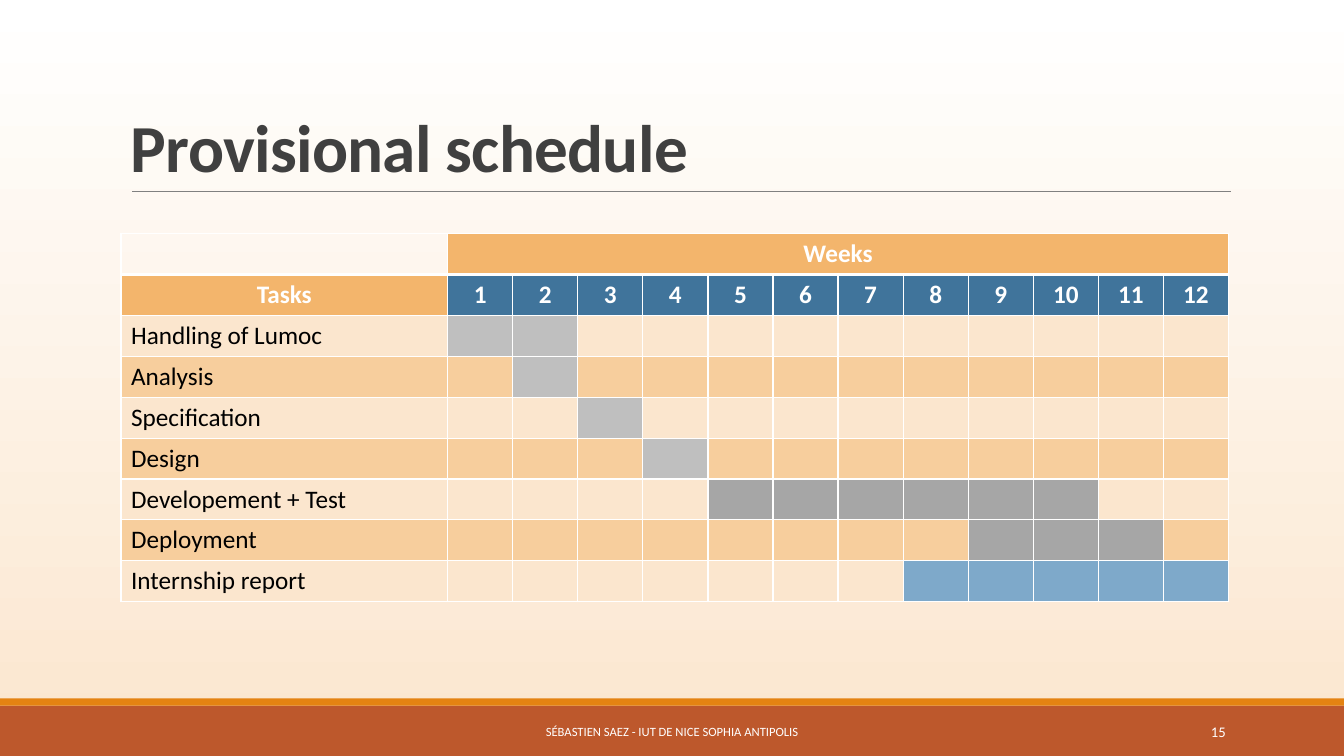
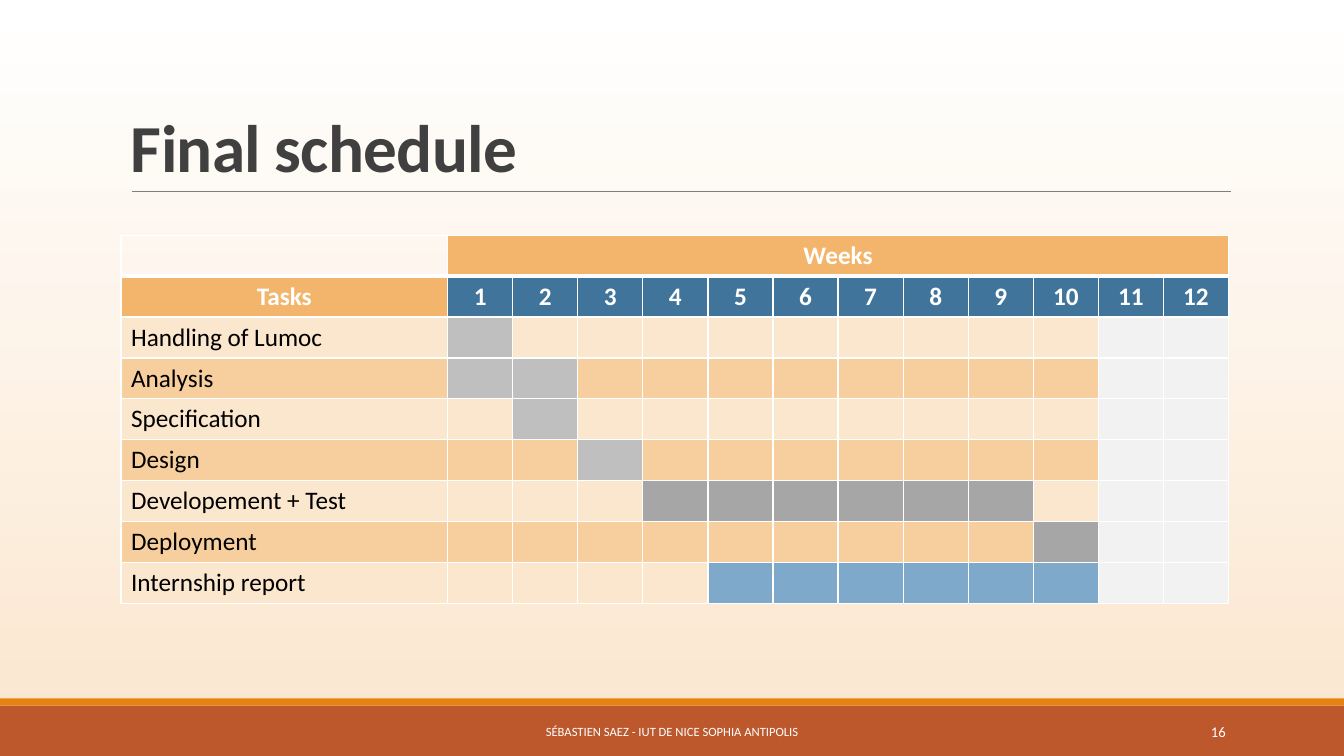
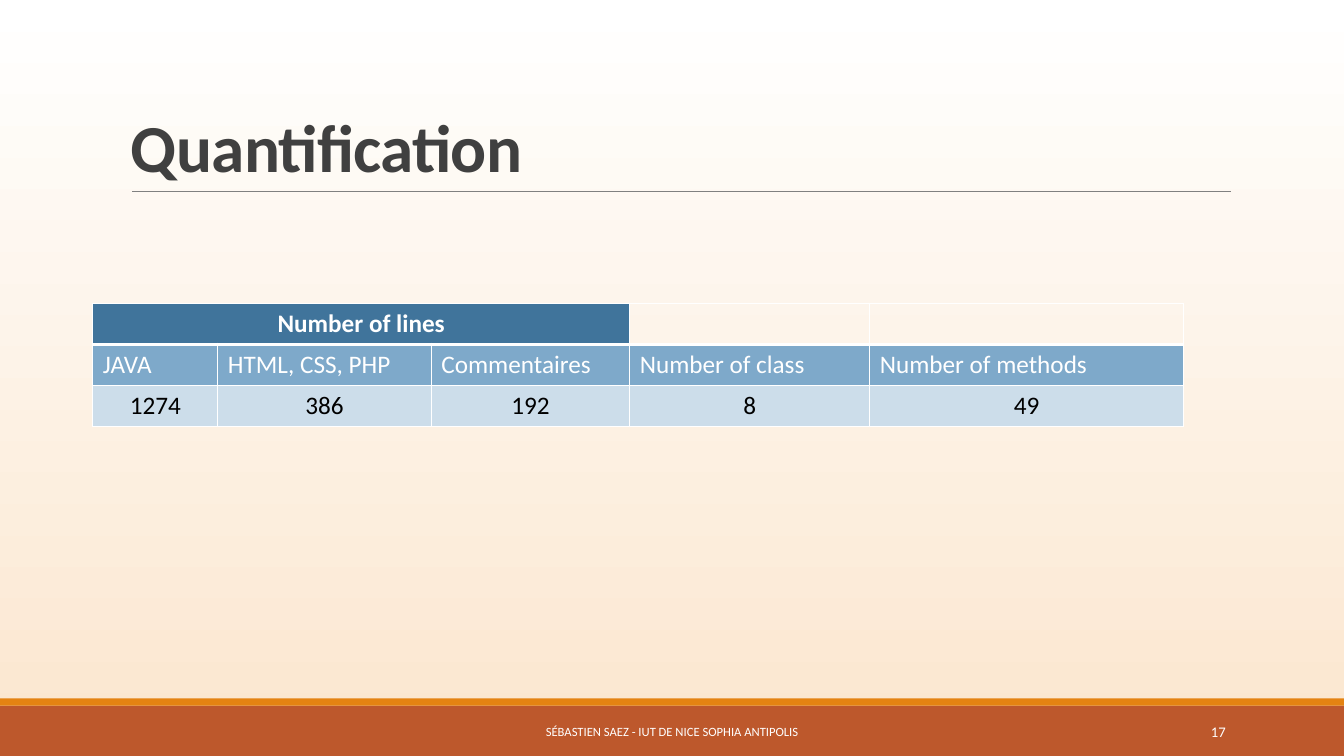
import dataclasses

import lxml.etree
import pptx
import pptx.dml.color
import pptx.enum.shapes
import pptx.enum.text
import pptx.oxml.ns
import pptx.util

Cm = pptx.util.Cm
Pt = pptx.util.Pt
qn = pptx.oxml.ns.qn
ALIGN = pptx.enum.text.PP_ALIGN
ANCHOR = pptx.enum.text.MSO_ANCHOR

WHITE, BLACK, DARK = "FFFFFF", "000000", "404040"
ORANGE, PEACH, CREAM = "F3B56C", "F7CE9D", "FBE6CE"
NAVY, BLUE, PALE_BLUE = "40749B", "7EA9CA", "CCDDEA"
SILVER, GREY, UNUSED = "BFBFBF", "A6A6A6", "F2F2F2"
WEEKS = 12
ROW_HEIGHT = 1.03


def rgb(value):
    return pptx.dml.color.RGBColor.from_string(value)


@dataclasses.dataclass
class Entry:
    text: str = ""
    fill: str = ""
    color: str = WHITE
    bold: bool = False
    align: ALIGN = ALIGN.CENTER


class Deck:
    """Holds the shared style and the current slide."""

    font = "Calibri"
    footer = "SÉBASTIEN SAEZ - IUT DE NICE SOPHIA ANTIPOLIS"

    def __init__(self, first_number):
        self.presentation = pptx.Presentation()
        self.presentation.slide_width = Cm(33.87)
        self.presentation.slide_height = Cm(19.05)
        self.number = first_number

    def new_slide(self, title):
        self.slide = self.presentation.slides.add_slide(self.presentation.slide_layouts[6])
        backdrop = self.slide.background.fill
        backdrop.gradient()
        backdrop.gradient_angle = 270
        for stop, color in zip(backdrop.gradient_stops, (WHITE, CREAM)):
            stop.color.rgb = rgb(color)
        self.band(17.78, 1.27, "BD582C")
        self.band(17.6, 0.18, "E48312")
        self.rule(3.33, 31.02, 4.83)
        heading = self.text(title, 3.05, 0.79, 27.94, 4.03, 48, DARK, ALIGN.LEFT, ANCHOR.BOTTOM)
        heading.font.bold = True
        heading.line_spacing = 0.85
        heading.runs[0]._r.get_or_add_rPr().set("spc", "-50")
        self.text(self.footer, 10.24, 17.93, 13.39, 1.02, 9, WHITE, ALIGN.CENTER)
        self.text(str(self.number), 27.5, 17.93, 3.64, 1.02, 10.5, WHITE, ALIGN.RIGHT)
        self.number += 1

    def band(self, top, height, color):
        strip = self.slide.shapes.add_shape(
            pptx.enum.shapes.MSO_SHAPE.RECTANGLE,
            0, Cm(top), self.presentation.slide_width, Cm(height))
        strip.shadow.inherit = False
        strip.fill.solid()
        strip.fill.fore_color.rgb = rgb(color)
        strip.line.fill.background()

    def rule(self, left, right, top):
        underline = self.slide.shapes.add_connector(
            pptx.enum.shapes.MSO_CONNECTOR.STRAIGHT, Cm(left), Cm(top), Cm(right), Cm(top))
        underline.line.color.rgb = rgb("808080")
        underline.line.width = Pt(0.5)
        lxml.etree.SubElement(underline._element.spPr, qn("a:effectLst"))

    def text(self, words, left, top, width, height, size, color, align, anchor=ANCHOR.MIDDLE):
        frame = self.slide.shapes.add_textbox(Cm(left), Cm(top), Cm(width), Cm(height)).text_frame
        frame.word_wrap = True
        frame.vertical_anchor = anchor
        return self.styled(frame, words, size, color, align)

    def styled(self, frame, words, size, color, align):
        paragraph = frame.paragraphs[0]
        paragraph.text = words
        paragraph.alignment = align
        paragraph.font.name = self.font
        paragraph.font.size = Pt(size)
        paragraph.font.color.rgb = rgb(color)
        return paragraph

    def grid(self, left, top, widths, rows, merged):
        table = self.slide.shapes.add_table(
            len(rows), len(widths), Cm(left), Cm(top),
            Cm(sum(widths)), Cm(ROW_HEIGHT * len(rows))).table
        table.first_row = table.horz_banding = False
        for column, width in zip(table.columns, widths):
            column.width = Cm(width)
        for r, entries in enumerate(rows):
            table.rows[r].height = Cm(ROW_HEIGHT)
            for c, entry in enumerate(entries):
                self.fill_cell(table.cell(r, c), entry, r)
        first, last = merged
        table.cell(0, first).merge(table.cell(0, last))

    def fill_cell(self, cell, entry, row):
        self.border(cell, {"L": 1, "R": 1, "T": 3 if row == 1 else 1, "B": 3 if row == 0 else 1})
        if entry.fill:
            cell.fill.solid()
            cell.fill.fore_color.rgb = rgb(entry.fill)
        else:
            cell.fill.background()
        if entry.text:
            label = self.styled(cell.text_frame, entry.text, 18, entry.color, entry.align)
            label.font.bold = entry.bold

    def border(self, cell, sides):
        properties = cell._tc.get_or_add_tcPr()
        for side, points in sides.items():
            edge = lxml.etree.SubElement(properties, qn(f"a:ln{side}"), w=str(Pt(points)))
            paint = lxml.etree.SubElement(edge, qn("a:solidFill"))
            lxml.etree.SubElement(paint, qn("a:srgbClr"), val=WHITE)

    def schedule(self, title, top, spans, last_week=WEEKS):
        self.new_slide(title)
        tasks = (
            ("Handling of Lumoc", SILVER),
            ("Analysis", SILVER),
            ("Specification", SILVER),
            ("Design", SILVER),
            ("Developement + Test", GREY),
            ("Deployment", GREY),
            ("Internship report", BLUE),
        )
        weeks = range(1, WEEKS + 1)
        rows = [
            [Entry(), Entry("Weeks", ORANGE, bold=True)] + [Entry()] * (WEEKS - 1),
            [Entry("Tasks", ORANGE, bold=True)]
            + [Entry(str(week), NAVY, bold=True) for week in weeks],
        ]
        for i, ((task, color), (start, end)) in enumerate(zip(tasks, spans)):
            stripe = PEACH if i % 2 else CREAM
            row = [Entry(task, stripe, BLACK, align=ALIGN.LEFT)]
            for week in weeks:
                idle = stripe if week <= last_week else UNUSED
                row.append(Entry(fill=color if start <= week <= end else idle))
            rows.append(row)
        self.grid(3.05, top, [8.23] + [1.64] * WEEKS, rows, (1, WEEKS))

    def quantification(self):
        self.new_slide("Quantification")
        measures = (
            ("JAVA", "1274", 3.15),
            ("HTML, CSS, PHP", "386", 5.38),
            ("Commentaires", "192", 5),
            ("Number of class", "8", 6.05),
            ("Number of methods", "49", 7.9),
        )
        rows = [
            [Entry("Number of lines", NAVY, bold=True)] + [Entry()] * 4,
            [Entry(name, BLUE, align=ALIGN.LEFT) for name, _, _ in measures],
            [Entry(count, PALE_BLUE, BLACK) for _, count, _ in measures],
        ]
        self.grid(2.34, 7.65, [width for _, _, width in measures], rows, (0, 2))


def main():
    deck = Deck(first_number=15)
    deck.schedule("Provisional schedule", 5.89,
                  ((1, 2), (2, 2), (3, 3), (4, 4), (5, 10), (9, 11), (8, 12)))
    deck.schedule("Final schedule", 5.93,
                  ((1, 1), (1, 2), (2, 2), (3, 3), (4, 9), (10, 10), (5, 10)), last_week=10)
    deck.quantification()
    deck.presentation.save("out.pptx")


if __name__ == "__main__":
    main()
